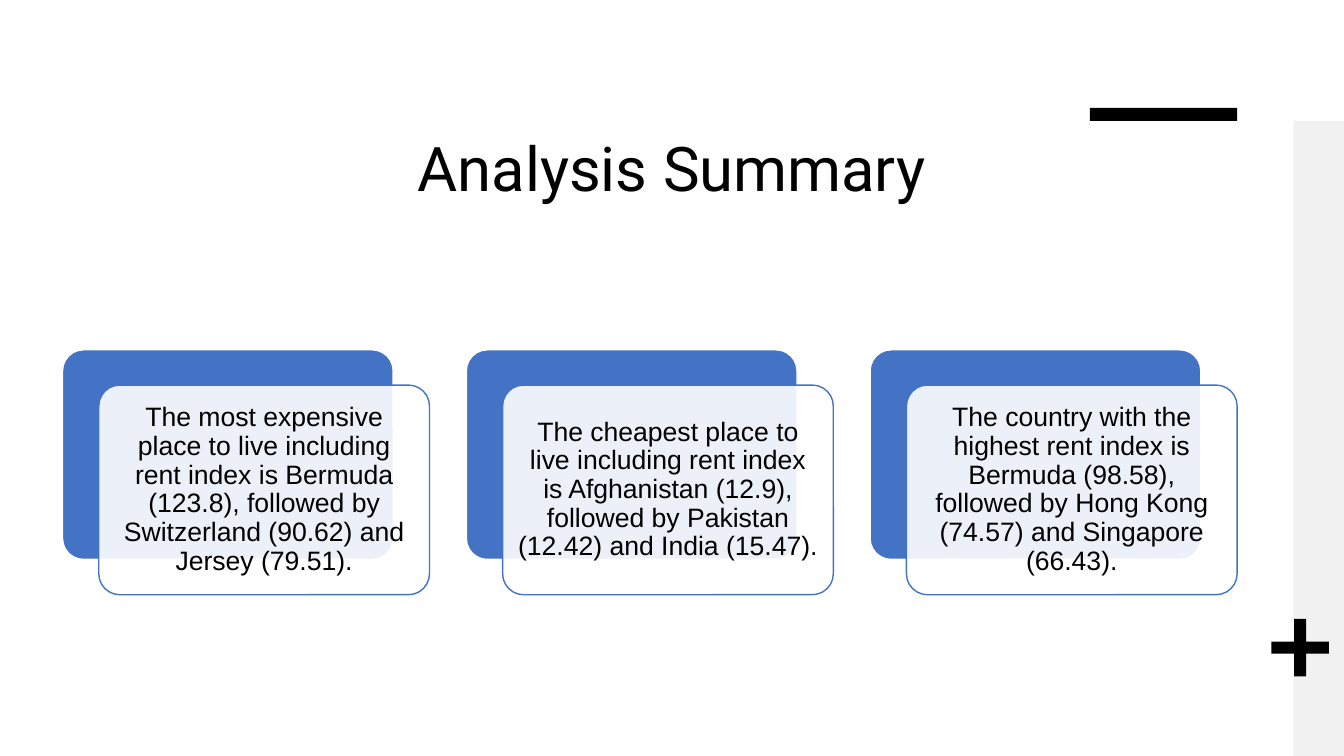
"""Builds the Analysis Summary slide with three layered finding cards."""
import pptx
import pptx.dml.color
import pptx.enum.shapes
import pptx.enum.text
import pptx.oxml
import pptx.oxml.ns
import pptx.util

RGBColor = pptx.dml.color.RGBColor
Inches = pptx.util.Inches
Pt = pptx.util.Pt
Shape = pptx.enum.shapes.MSO_SHAPE
Anchor = pptx.enum.text.MSO_ANCHOR

BLACK = RGBColor(0x00, 0x00, 0x00)
WHITE = RGBColor(0xFF, 0xFF, 0xFF)
BLUE = RGBColor(0x44, 0x72, 0xC4)
GREY = RGBColor(0xF2, 0xF1, 0xF1)

TITLE = "Analysis Summary "
FINDINGS = [
    "The most expensive place to live including rent index is Bermuda (123.8), "
    "followed by Switzerland (90.62) and Jersey (79.51).",
    "The cheapest place to live including rent index is Afghanistan (12.9), "
    "followed by Pakistan (12.42) and India (15.47).",
    "The country with the highest rent index is Bermuda (98.58), "
    "followed by Hong Kong (74.57) and Singapore (66.43).",
]

SLIDE_WIDTH, SLIDE_HEIGHT = 13.33, 7.5
TITLE_AREA = (2.22, 1.24, 9.04, 1.58)
BAND_WIDTH, BAND_TOP = 0.5, 1.2
BAR_WIDTH, BAR_HEIGHT = 1.46, 0.13
PLUS_AREA = (12.61, 6.14, 0.57, 0.57)
GRID_LEFT, GRID_RIGHT, GRID_TOP = 0.62, 12.27, 3.47
CARD_WIDTH, CARD_HEIGHT = 3.28, 2.08
SHIFT_X, SHIFT_Y = 0.36, 0.35


def add_block(page, preset, area, fill, line=None, adjust=None, alpha=None):
    block = page.shapes.add_shape(preset, *map(Inches, area))
    block.shadow.inherit = False
    block.fill.solid()
    block.fill.fore_color.rgb = fill
    if line is None:
        block.line.fill.background()
    else:
        block.line.color.rgb = line
        block.line.width = Pt(1)
    if adjust is not None:
        block.adjustments[0] = adjust
    if alpha is not None:
        colour = block.fill._xPr.find(".//" + pptx.oxml.ns.qn("a:srgbClr"))
        opacity = pptx.oxml.parse_xml(
            f'<a:alpha {pptx.oxml.ns.nsdecls("a")} val="{alpha * 1000}"/>')
        colour.append(opacity)
    return block


def write_text(box, text, font, size, anchor, inset=(0.1, 0.05), spacing=1.0):
    frame = box.text_frame
    frame.word_wrap = True
    frame.vertical_anchor = anchor
    frame.margin_left = frame.margin_right = Inches(inset[0])
    frame.margin_top = frame.margin_bottom = Inches(inset[1])
    para = frame.paragraphs[0]
    para.alignment = pptx.enum.text.PP_ALIGN.CENTER
    para.line_spacing = spacing
    span = para.add_run()
    span.text = text
    span.font.name = font
    span.font.size = Pt(size)
    span.font.color.rgb = BLACK


def main():
    deck = pptx.Presentation()
    deck.slide_width = Inches(SLIDE_WIDTH)
    deck.slide_height = Inches(SLIDE_HEIGHT)
    page = deck.slides.add_slide(deck.slide_layouts[6])

    title_box = page.shapes.add_textbox(*map(Inches, TITLE_AREA))
    write_text(title_box, TITLE, "Roboto", 44, Anchor.TOP)

    add_block(page, Shape.RECTANGLE, (SLIDE_WIDTH - BAND_WIDTH, BAND_TOP,
                                      BAND_WIDTH, SLIDE_HEIGHT - BAND_TOP), GREY)
    add_block(page, Shape.RECTANGLE, (GRID_RIGHT - BAR_WIDTH, BAND_TOP - BAR_HEIGHT,
                                      BAR_WIDTH, BAR_HEIGHT), BLACK)
    add_block(page, Shape.CROSS, PLUS_AREA, BLACK, adjust=0.395)

    pitch = (GRID_RIGHT - SHIFT_X - CARD_WIDTH - GRID_LEFT) / (len(FINDINGS) - 1)
    for column, finding in enumerate(FINDINGS):
        left = GRID_LEFT + column * pitch
        add_block(page, Shape.ROUNDED_RECTANGLE,
                  (left, GRID_TOP, CARD_WIDTH, CARD_HEIGHT), BLUE, WHITE, 0.1)
        card = add_block(page, Shape.ROUNDED_RECTANGLE,
                         (left + SHIFT_X, GRID_TOP + SHIFT_Y, CARD_WIDTH, CARD_HEIGHT),
                         WHITE, BLUE, 0.1, alpha=90)
        write_text(card, finding, "Arial", 19, Anchor.MIDDLE, (0.08, 0.08), 0.9)

    deck.save("out.pptx")


if __name__ == "__main__":
    main()
